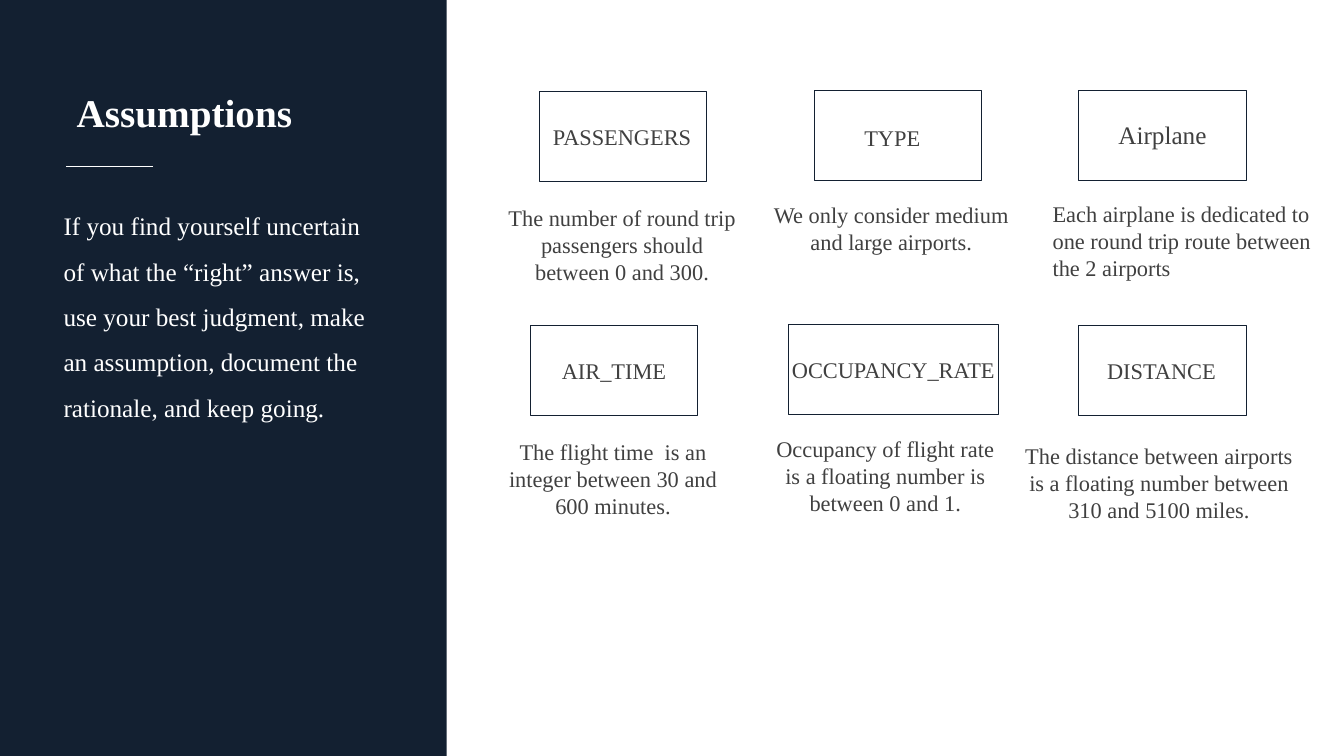
import pptx
import pptx.dml.color
import pptx.enum.shapes
import pptx.enum.text
import pptx.oxml
import pptx.util
from pptx.util import Inches

RGBColor = pptx.dml.color.RGBColor
ALIGN = pptx.enum.text.PP_ALIGN
NAVY = RGBColor(0x13, 0x20, 0x31)
WHITE = RGBColor(0xFF, 0xFF, 0xFF)
GREY = RGBColor(0x40, 0x40, 0x40)
FONT = "Times New Roman"

# Content
HEADING = "Assumptions"
ADVICE = ("If you find yourself uncertain of what the “right” answer is, use your best "
          "judgment, make an assumption, document the rationale, and keep going.")
# label, label size, note, note alignment,
# frame (left, top, width), label (left, top, width), note (left, top, width)
ASSUMPTIONS = [
    ("PASSENGERS", 16, "The number of round trip passengers should between 0 and 300.",
     ALIGN.CENTER, (5.35, 0.91, 1.66), (5.34, 1.17, 1.66), (4.99, 1.98, 2.36)),
    ("TYPE", 16, "We only consider medium and large airports.",
     ALIGN.CENTER, (8.08, 0.9, 1.66), (8.02, 1.18, 1.66), (7.66, 1.95, 2.36)),
    ("Airplane", 18, "Each airplane is dedicated to one round trip route between the 2 airports",
     ALIGN.LEFT, (10.7, 0.9, 1.66), (10.7, 1.13, 1.66), (10.44, 1.94, 2.65)),
    ("AIR_TIME", 16, "The flight time  is an integer between 30 and 600 minutes.",
     ALIGN.CENTER, (5.26, 3.23, 1.66), (5.26, 3.49, 1.66), (4.9, 4.3, 2.36)),
    ("OCCUPANCY_RATE", 16, "Occupancy of flight rate is a floating number is between 0 and 1.",
     ALIGN.CENTER, (7.82, 3.22, 2.08), (7.82, 3.48, 2.08), (7.6, 4.27, 2.36)),
    ("DISTANCE", 16, "The distance between airports is a floating number between 310 and 5100 miles.",
     ALIGN.CENTER, (10.7, 3.23, 1.66), (10.69, 3.49, 1.66), (10.11, 4.34, 2.77)),
]
FRAME_HEIGHT, LABEL_HEIGHT, NOTE_HEIGHT = 0.89, 0.37, 0.91

deck = pptx.Presentation()
deck.slide_width, deck.slide_height = Inches(13.33), Inches(7.5)
slide = deck.slides.add_slide(deck.slide_layouts[5])
shapes = slide.shapes


def write(holder, text, size, color, align):
    frame = holder.text_frame
    frame.word_wrap = True
    frame.auto_size = pptx.enum.text.MSO_AUTO_SIZE.NONE
    frame.vertical_anchor = pptx.enum.text.MSO_ANCHOR.TOP
    frame.margin_left = frame.margin_right = 0
    frame.margin_top = frame.margin_bottom = Inches(0.05)
    paragraph = frame.paragraphs[0]
    paragraph.text = text
    paragraph.alignment = align
    paragraph.font.name = FONT
    paragraph.font.size = pptx.util.Pt(size)
    paragraph.font.color.rgb = color
    return paragraph


def add_text(left, top, width, height, *style):
    box = shapes.add_textbox(Inches(left), Inches(top), Inches(width), Inches(height))
    return write(box, *style)


def add_rectangle(left, top, width, height):
    rectangle = shapes.add_shape(pptx.enum.shapes.MSO_SHAPE.RECTANGLE,
                                 Inches(left), Inches(top), Inches(width), Inches(height))
    rectangle.shadow.inherit = False
    return rectangle


# Side panel, placed behind the title
panel = add_rectangle(0, 0, 4.43, 7.5)
panel.fill.solid()
panel.fill.fore_color.rgb = NAVY
panel.line.fill.background()
title = shapes.title
title._element.addprevious(panel._element)

# Title, rule and advice
title.left, title.top = Inches(0.76), Inches(0.83)
title.width, title.height = Inches(3.53), Inches(0.57)
heading = write(title, HEADING, 28, WHITE, ALIGN.LEFT)
heading.font.bold = True
heading.space_before = pptx.util.Pt(6)

rule = shapes.add_connector(pptx.enum.shapes.MSO_CONNECTOR.STRAIGHT,
                            Inches(1.52), Inches(1.65), Inches(0.65), Inches(1.65))
rule.line.color.rgb = WHITE
rule.line.width = pptx.util.Pt(0.5)
rule._element.spPr.append(pptx.oxml.parse_xml(
    '<a:effectLst xmlns:a="http://schemas.openxmlformats.org/drawingml/2006/main"/>'))

advice = add_text(0.63, 1.89, 3.09, 2.9, ADVICE, 18, WHITE, ALIGN.LEFT)
advice.line_spacing = 1.5
advice.space_after = pptx.util.Pt(12)

# Assumption cards
for label, label_size, note, note_align, frame_at, label_at, note_at in ASSUMPTIONS:
    outline = add_rectangle(*frame_at, FRAME_HEIGHT)
    outline.fill.background()
    outline.line.color.rgb = NAVY
    outline.line.width = pptx.util.Pt(0.75)
    add_text(*label_at, LABEL_HEIGHT, label, label_size, GREY, ALIGN.CENTER)
    add_text(*note_at, NOTE_HEIGHT, note, 16, GREY, note_align)

deck.save("out.pptx")
